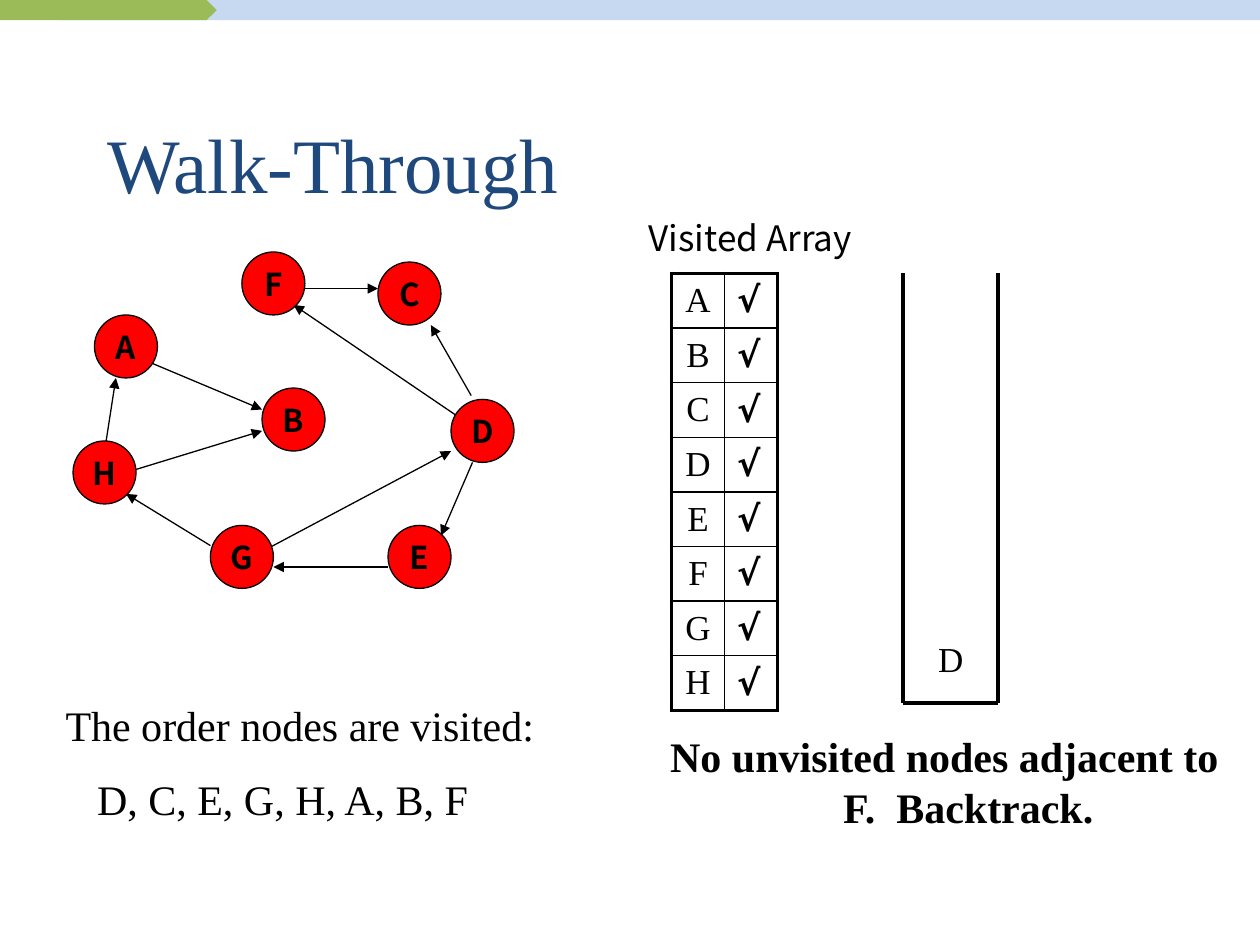
from dataclasses import dataclass

from lxml import etree
from pptx import Presentation
from pptx.dml.color import RGBColor
from pptx.enum.shapes import MSO_CONNECTOR, MSO_SHAPE
from pptx.enum.text import MSO_ANCHOR, MSO_AUTO_SIZE, PP_ALIGN
from pptx.oxml.ns import qn
from pptx.util import Inches, Pt

LEFT, CENTER = PP_ALIGN.LEFT, PP_ALIGN.CENTER
TOP, MIDDLE, BOTTOM = MSO_ANCHOR.TOP, MSO_ANCHOR.MIDDLE, MSO_ANCHOR.BOTTOM
STRAIGHT = MSO_CONNECTOR.STRAIGHT
RECT, PLATE, OVAL = MSO_SHAPE.RECTANGLE, MSO_SHAPE.PENTAGON, MSO_SHAPE.OVAL


@dataclass(frozen=True)
class Theme:
    ink: str = "000000"
    node: str = "FF0000"
    title: str = "1F497D"
    band: str = "C6D9F1"
    tab: str = "9BBB59"
    serif: str = "Times New Roman"
    sans: str = "Noto Sans CJK KR"
    mark: str = "DejaVu Sans"
    head: int = 44
    body: int = 24
    label: int = 20
    name: int = 18
    thin: float = 0.75
    grid: float = 1
    thick: float = 2.25


THEME = Theme()
SIZE = 0.5  # node diameter

NODES = {
    "A": (0.75, 2.5), "H": (0.58, 3.5), "B": (2.08, 3.08), "F": (1.92, 2),
    "E": (3.08, 4.17), "D": (3.58, 3.17), "C": (3, 2.08), "G": (1.67, 4.17),
}
EDGES = [
    ((3.67, 3.33), (2.33, 2.42)),  # D to F
    ((3.75, 3.67), (3.5, 4.25)),   # D to E
    ((1, 3.75), (2.08, 3.42)),     # H to B
    ((2, 4.42), (3.58, 3.58)),     # G to D
    ((0.83, 3.58), (0.92, 3)),     # H to A
    ((1.08, 2.83), (2.08, 3.25)),  # A to B
    ((3.74, 3.14), (3.42, 2.58)),  # D to C
    ((3.08, 4.5), (2.17, 4.5)),    # E to G
    ((1.67, 4.33), (1, 3.92)),     # G to H
    ((2.42, 2.29), (3, 2.29)),     # F to C
]


def rgb(code):
    return RGBColor.from_string(code)


def place(item, box):
    item.left, item.top, item.width, item.height = map(Inches, box)


def write(para, text, size, font=THEME.serif, color=THEME.ink, bold=False,
          align=LEFT, indent=(0, 0)):
    para.text = text
    para.alignment = align
    props = para._p.get_or_add_pPr()
    props.set("marL", str(Inches(indent[0])))
    props.set("indent", str(Inches(indent[1])))
    etree.SubElement(props, qn("a:buNone"))
    para.space_before = Pt(0)
    para.font.name, para.font.size = font, Pt(size)
    para.font.bold, para.font.color.rgb = bold, rgb(color)


def setup(frame, anchor=TOP):
    frame.auto_size = MSO_AUTO_SIZE.NONE
    frame.word_wrap = True
    frame.vertical_anchor = anchor


def label(shapes, box, text, size, anchor=TOP, **style):
    frame = shapes.add_textbox(*map(Inches, box)).text_frame
    setup(frame, anchor)
    write(frame.paragraphs[0], text, size, **style)
    return frame


def shape(shapes, kind, box, color):
    item = shapes.add_shape(kind, *map(Inches, box))
    item.shadow.inherit = False
    item.fill.solid()
    item.fill.fore_color.rgb = rgb(color)
    item.line.fill.background()
    return item


def link(shapes, start, end, width, arrow=False):
    line = shapes.add_connector(STRAIGHT, *map(Inches, (*start, *end)))
    line.line.color.rgb, line.line.width = rgb(THEME.ink), Pt(width)
    if arrow:
        etree.SubElement(line.line._get_or_add_ln(), qn("a:tailEnd"),
                         type="triangle")
    etree.SubElement(line._element.spPr, qn("a:effectLst"))


def node(shapes, name, spot):
    item = shape(shapes, OVAL, (*spot, SIZE, SIZE), THEME.node)
    item.line.color.rgb, item.line.width = rgb(THEME.ink), Pt(THEME.thin)
    setup(item.text_frame, MIDDLE)
    item.text_frame.word_wrap = False
    write(item.text_frame.paragraphs[0], name, THEME.name, THEME.sans,
          bold=True, align=CENTER)


def border(cell, sides):
    props = cell._tc.get_or_add_tcPr()
    for side, outer in sides.items():
        width = Pt(THEME.thick if outer else THEME.grid)
        line = etree.SubElement(props, qn(f"a:ln{side}"), w=str(width))
        fill = etree.SubElement(line, qn("a:solidFill"))
        etree.SubElement(fill, qn("a:srgbClr"), val=THEME.ink)


def visits(shapes, box, names):
    table = shapes.add_table(len(names), 2, *map(Inches, box)).table
    table.first_row = table.horz_banding = False
    last = len(names) - 1
    for r, name in enumerate(names):
        table.rows[r].height = Inches(box[3] / len(names))
        for c, text in enumerate((name, "√")):
            cell = table.cell(r, c)
            cell.vertical_anchor = MIDDLE
            border(cell, {"L": c == 0, "R": c == 1,
                          "T": r == 0, "B": r == last})
            cell.fill.background()
            write(cell.text_frame.paragraphs[0], text, THEME.label,
                  font=THEME.mark if c else THEME.serif, bold=c == 1,
                  align=LEFT if c else CENTER)


def stack(shapes, left, top, width, height, text):
    right, base = left + width, top + height
    group = shapes.add_group_shape().shapes
    corners = [(left, top), (left, base), (right, base), (right, top)]
    for start, end in zip(corners, corners[1:]):
        link(group, start, end, THEME.thick)
    frame = label(shapes, (left, top, width, height), text, THEME.label,
                  BOTTOM, align=CENTER)
    frame.margin_bottom = Inches(0.19)


def main():
    deck = Presentation()
    deck.slide_width, deck.slide_height = Inches(10), Inches(7.5)
    slide = deck.slides.add_slide(deck.slide_layouts[1])
    shapes = slide.shapes

    # Top band
    shape(shapes, RECT, (0.47, 0, 9.53, 0.16), THEME.band)
    shape(shapes, PLATE, (0, 0, 1.72, 0.16), THEME.tab)

    # Title
    place(shapes.title, (0.75, 0.67, 8.5, 1.25))
    setup(shapes.title.text_frame, MIDDLE)
    write(shapes.title.text_frame.paragraphs[0], "Walk-Through", THEME.head,
          color=THEME.title)

    # Graph
    for start, end in EDGES:
        link(shapes, start, end, THEME.thin, arrow=True)
    for name, spot in NODES.items():
        node(shapes, name, spot)

    # Visited array and stack
    label(shapes, (5.05, 1.67, 1.83, 0.43), "Visited Array", THEME.label,
          font=THEME.sans)
    visits(shapes, (5.33, 2.17, 0.84, 3.47), sorted(NODES))
    stack(shapes, 7.17, 2.17, 0.75, 3.41, "D")

    # Visit order
    body = slide.placeholders[1]
    place(body, (0.42, 5.5, 4.5, 1.1))
    setup(body.text_frame)
    write(body.text_frame.paragraphs[0], "The order nodes are visited:",
          THEME.body)
    order = body.text_frame.add_paragraph()
    write(order, "D, C, E, G, H, A, B, F", THEME.body, indent=(0.25, 0))
    order.space_before = Pt(13.5)

    # Current step
    label(shapes, (5.08, 5.75, 4.83, 0.9),
          "No unvisited nodes adjacent to F.  Backtrack.", THEME.body,
          bold=True, align=CENTER, indent=(0.38, -0.38))

    deck.save("out.pptx")


if __name__ == "__main__":
    main()
